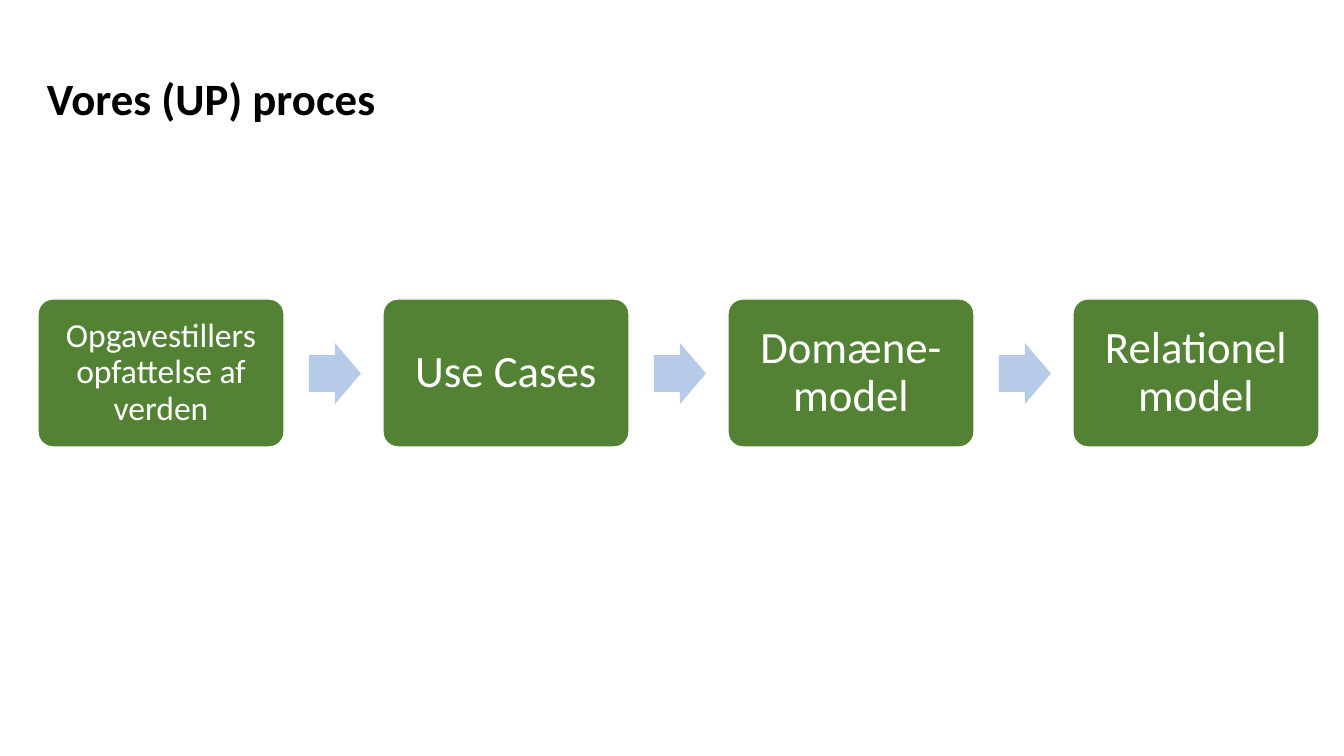
import pptx
import pptx.dml.color
import pptx.enum.shapes
import pptx.enum.text
import pptx.util

SCALE = 914400 / 100.8
KIND = pptx.enum.shapes.MSO_SHAPE
ALIGN = pptx.enum.text.PP_ALIGN
ANCHOR = pptx.enum.text.MSO_ANCHOR
STEPS = [
    ("Opgavestillers opfattelse af verden", 24, 14),
    ("Use Cases", 32, 17),
    ("Domæne-model", 32, 17),
    ("Relationel model", 32, 17),
]
LEFT, PITCH = 38, 345


def px(*sides):
    """Turn pixel lengths into EMU."""
    return [pptx.util.Emu(round(side * SCALE)) for side in sides]


def hue(code):
    """Return the colour of a hex string."""
    return pptx.dml.color.RGBColor.from_string(code)


def style(item, **values):
    """Set each named format value on an item."""
    for name, value in values.items():
        setattr(item, name, value)


def write(frame, text, size, color, bold=False, **layout):
    """Fill a text frame with one formatted paragraph."""
    frame.word_wrap = True
    line = frame.paragraphs[0]
    style(line, **layout)
    run = line.add_run()
    run.text = text
    style(run.font, name="Calibri", size=pptx.util.Pt(size), bold=bold)
    run.font.color.rgb = hue(color)


def block(slide, kind, sides, fill, ratios):
    """Add a flat preset shape with set adjustments."""
    shape = slide.shapes.add_shape(kind, *px(*sides))
    shape.shadow.inherit = False
    shape.fill.solid()
    shape.fill.fore_color.rgb = hue(fill)
    shape.line.fill.background()
    for index, ratio in enumerate(ratios):
        shape.adjustments[index] = ratio
    return shape


def step(slide, left, text, size, inset):
    """Add one green step of the process."""
    box = block(slide, KIND.ROUNDED_RECTANGLE, (left, 299, 246, 148), "548235", [0.1])
    box.line.color.rgb = hue("FFFFFF")
    box.line.width = pptx.util.Pt(1)
    frame = box.text_frame
    gap = px(inset)[0]
    style(frame, margin_left=gap, margin_right=gap, margin_top=gap,
          margin_bottom=gap, vertical_anchor=ANCHOR.MIDDLE)
    write(frame, text, size, "FFFFFF", alignment=ALIGN.CENTER, line_spacing=0.9)


def arrow(slide, left):
    """Add one arrow between two steps."""
    block(slide, KIND.RIGHT_ARROW, (left, 343, 52, 61), "B5CBE7", [0.6, 0.5])


def title(slide, text):
    """Add the slide heading."""
    box = slide.shapes.add_textbox(*px(37, 66, 389, 65))
    box.text_frame.auto_size = pptx.enum.text.MSO_AUTO_SIZE.SHAPE_TO_FIT_TEXT
    write(box.text_frame, text, 32, "000000", bold=True)


def main():
    """Build and save the process slide."""
    deck = pptx.Presentation()
    deck.slide_width, deck.slide_height = px(1344, 756)
    slide = deck.slides.add_slide(deck.slide_layouts[6])
    for index, (text, size, inset) in enumerate(STEPS):
        left = LEFT + index * PITCH
        if index:
            arrow(slide, left - 74)
        step(slide, left, text, size, inset)
    title(slide, "Vores (UP) proces")
    deck.save("out.pptx")


if __name__ == "__main__":
    main()
